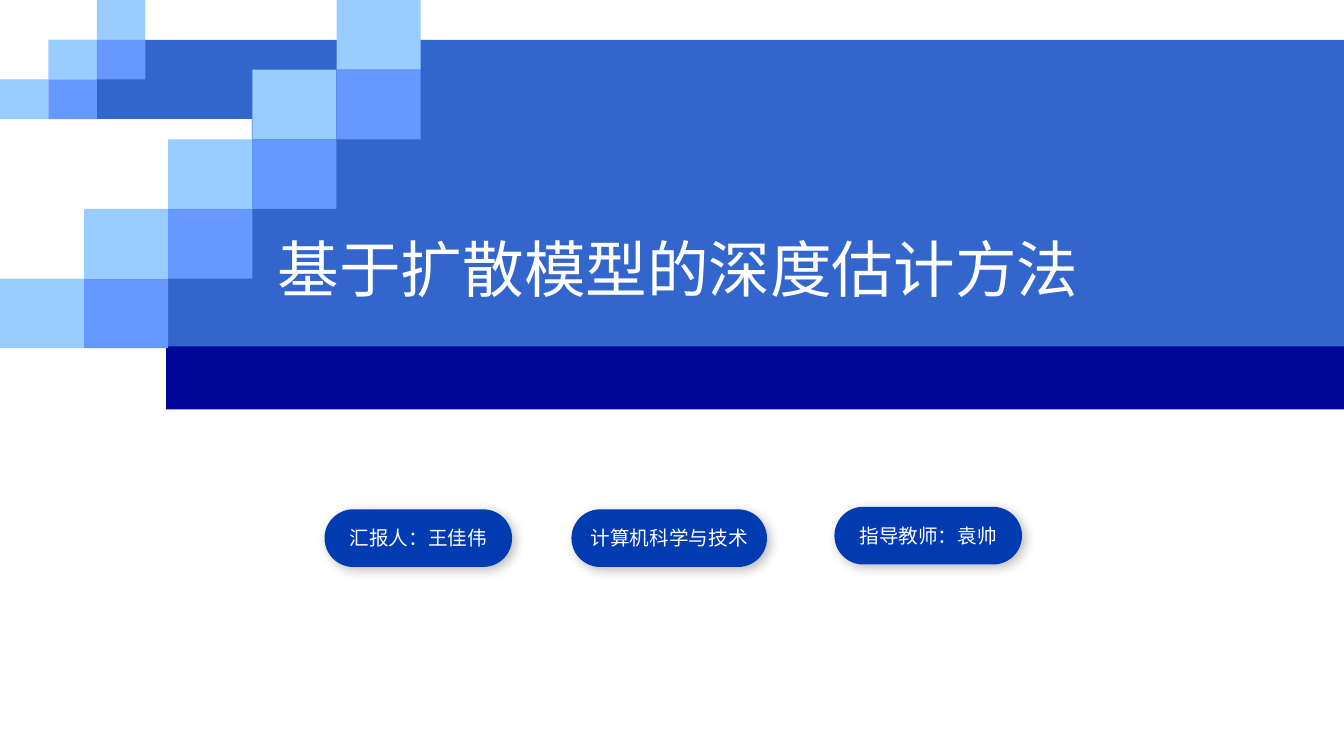
import pptx
import pptx.dml.color
import pptx.enum.shapes
import pptx.enum.text
import pptx.oxml
import pptx.oxml.ns
import pptx.util

Pt = pptx.util.Pt
SHAPE = pptx.enum.shapes.MSO_SHAPE
LIGHT, MID, BAND, NAVY, PILL, WHITE = "99CCFF", "6699FF", "3366CC", "000798", "003BB2", "FFFFFF"
SHADOW = (
    f'<a:outerShdw {pptx.oxml.ns.nsdecls("a")} blurRad="{Pt(8)}" dist="{Pt(3)}" dir="2700000" '
    'algn="tl" rotWithShape="0"><a:srgbClr val="000000"><a:alpha val="25000"/></a:srgbClr></a:outerShdw>'
)


def add_block(kind, x, y, w, h, color):
    sp = slide.shapes.add_shape(kind, Pt(x), Pt(y), Pt(w), Pt(h))
    sp.shadow.inherit = False
    sp.fill.solid()
    sp.fill.fore_color.rgb = pptx.dml.color.RGBColor.from_string(color)
    sp.line.fill.background()
    return sp


def write_centred(sp, text, size, font):
    """Put one white centred line in the shape, with the font for Latin and East Asian text."""
    tf = sp.text_frame
    tf.vertical_anchor = pptx.enum.text.MSO_ANCHOR.MIDDLE
    p = tf.paragraphs[0]
    p.alignment = pptx.enum.text.PP_ALIGN.CENTER
    r = p.add_run()
    r.text = text
    for name, value in {"name": font, "size": Pt(size), "bold": False}.items():
        setattr(r.font, name, value)
    r.font.color.rgb = pptx.dml.color.RGBColor.from_string(WHITE)
    ea = pptx.oxml.parse_xml(f'<a:ea {pptx.oxml.ns.nsdecls("a")} typeface="{font}"/>')
    r.font._element.find(pptx.oxml.ns.qn("a:latin")).addnext(ea)


prs = pptx.Presentation()
prs.slide_width, prs.slide_height = Pt(960), Pt(540)
slide = prs.slides.add_slide(prs.slide_layouts[0])
subtitle = slide.placeholders[1]._element
subtitle.getparent().remove(subtitle)

# Bands, each running to the right edge
bands = [
    (69, 28.4, 56.6, BAND),
    (180, 49.7, 199.3, BAND),
    (120, 180, 70, BAND),
    (118.6, 247.5, 45, NAVY),
]
for x, y, h, color in bands:
    add_block(SHAPE.RECTANGLE, x, y, 960 - x, h, color)

# Two rising staircases: a light step with a darker step below it
for steps, w, h in [(3, 34.6, 28.4), (5, 60.1, 49.75)]:
    for col in range(steps):
        row = steps - 1 - col
        add_block(SHAPE.RECTANGLE, col * w, row * h, w, h, LIGHT)
        if col:
            add_block(SHAPE.RECTANGLE, col * w, (row + 1) * h, w, h, MID)

title = slide.shapes.title
box = {"left": 168.5, "top": 151.2, "width": 632.2, "height": 79.9}
for name, value in box.items():
    setattr(title, name, Pt(value))
write_centred(title, "基于扩散模型的深度估计方法", 44, "Noto Sans CJK SC")
slide.shapes._spTree.append(title._element)

pills = [
    ("汇报人：王佳伟", 231.8, 363.8, 134),
    ("计算机科学与技术", 408.2, 363.8, 139.7),
    ("指导教师：袁帅", 596, 362, 134),
]
for text, x, y, w in pills:
    sp = add_block(SHAPE.ROUNDED_RECTANGLE, x, y, w, 41.2, PILL)
    sp.adjustments[0] = 0.5
    effects = sp._element.spPr.find(pptx.oxml.ns.qn("a:effectLst"))
    effects.append(pptx.oxml.parse_xml(SHADOW))
    sp.text_frame.word_wrap = False
    write_centred(sp, text, 14, "DejaVu Sans")

prs.save("out.pptx")
